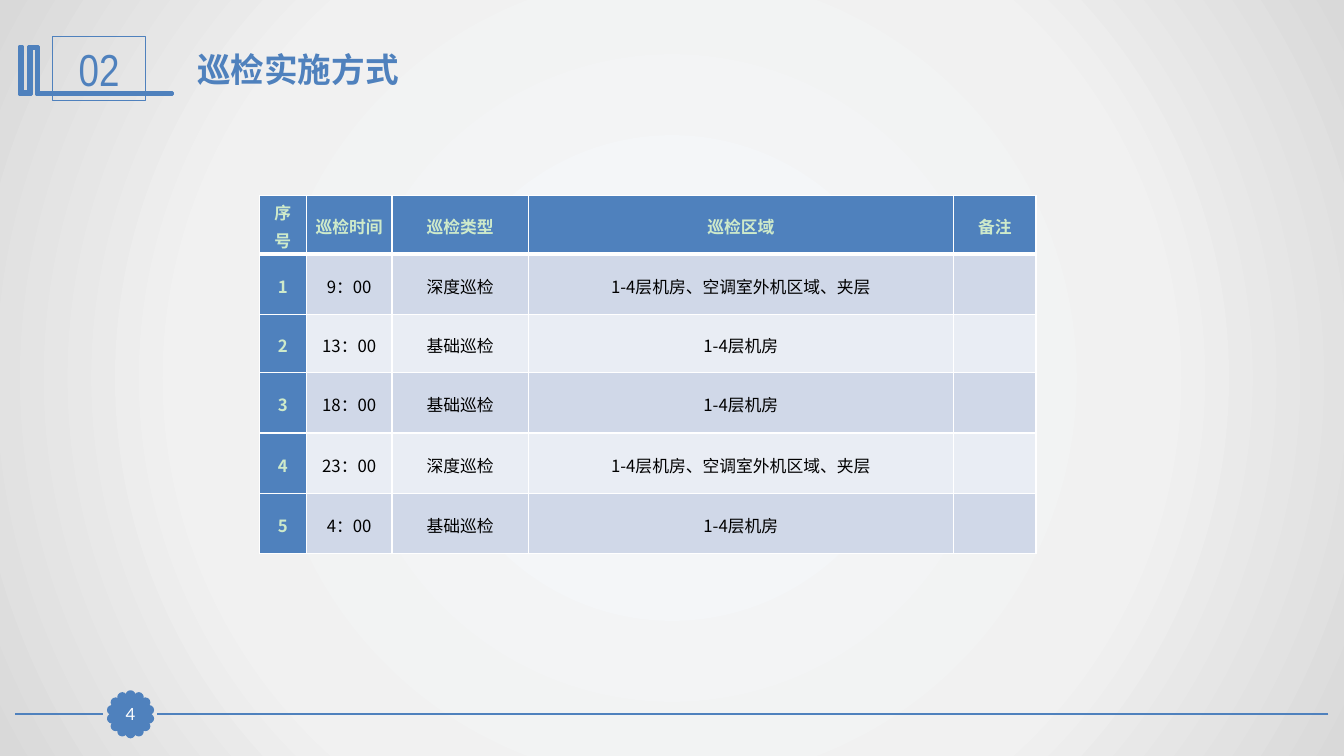
from math import cos, pi, sin

from pptx import Presentation
from pptx import util as u
from pptx.dml.color import RGBColor
from pptx.enum import shapes, text
from pptx.oxml import parse_xml
from pptx.oxml.ns import nsdecls, qn

Cm = u.Cm
BLUE, MINT, WHITE, BLACK = "4F81BD", "CEEACA", "FFFFFF", "000000"
BANDS = ("D0D8E8", "E9EDF4")
CJK = "Noto Sans CJK SC"
BACKGROUND = ((0, "F6F9FC"), (63, "F1F1F1"), (100, "D9D9D9"))
BOOK_OUTLINE = (
    (0.94, 1.17), (0.97, 1.17), (0.97, 2.34), (4.34, 2.34), (4.34, 2.39),
    (0.91, 2.39), (0.91, 1.22), (0.79, 1.22), (0.79, 2.39), (0.48, 2.39),
    (0.48, 1.17), (0.58, 1.17), (0.58, 2.31), (0.71, 2.31), (0.71, 1.17),
)
COLUMN_WIDTHS = (1.19, 2.16, 3.43, 10.72, 2.08)
ROW_HEIGHTS = (1.47, 1.52, 1.47, 1.52, 1.52, 1.52)
HEADINGS = ("序号", "巡检时间", "巡检类型", "巡检区域", "备注")
BASIC = ("基础巡检", "1-4层机房")
DEEP = ("深度巡检", "1-4层机房、空调室外机区域、夹层")
ROUNDS = (("9：00", DEEP), ("13：00", BASIC), ("18：00", BASIC),
          ("23：00", DEEP), ("4：00", BASIC))


def colour(value):
    return RGBColor.from_string(value)


def paint_background(page):
    page.background.fill.gradient()
    gradient = page._element.find(".//" + qn("a:gradFill"))
    stops = "".join(
        f'<a:gs pos="{place * 1000}"><a:srgbClr val="{value}"/></a:gs>'
        for place, value in BACKGROUND
    )
    gradient.getparent().replace(gradient, parse_xml(
        f'<a:gradFill {nsdecls("a")} rotWithShape="1"><a:gsLst>{stops}</a:gsLst>'
        '<a:path path="circle"><a:fillToRect l="50000" t="50000" r="50000" '
        'b="50000"/></a:path></a:gradFill>'
    ))


def style_shape(shape, fill, line_width):
    shape.shadow.inherit = False
    if fill:
        shape.fill.solid()
        shape.fill.fore_color.rgb = colour(fill)
    else:
        shape.fill.background()
    shape.line.color.rgb = colour(BLUE)
    shape.line.width = u.Pt(line_width)


def add_preset(page, kind, left, top, width, height, fill, line_width):
    shape = page.shapes.add_shape(kind, Cm(left), Cm(top), Cm(width), Cm(height))
    style_shape(shape, fill, line_width)
    return shape


def write(frame, words, font, size, ink, bold=False, align=text.PP_ALIGN.CENTER):
    frame.text = words
    para = frame.paragraphs[0]
    para.alignment = align
    for span in para.runs:
        span.font.name = font
        span.font.size = u.Pt(size)
        span.font.bold = bold
        span.font.color.rgb = colour(ink)
        span.font._element.find(qn("a:latin")).addnext(
            parse_xml(f'<a:ea {nsdecls("a")} typeface="{CJK}"/>'))
    return para


def add_footer_line(page, start, end):
    line = page.shapes.add_connector(
        shapes.MSO_CONNECTOR.STRAIGHT, Cm(start), Cm(18), Cm(end), Cm(18))
    line.line.color.rgb = colour(BLUE)
    line.line.width = u.Pt(1.25)
    line._element.spPr.append(parse_xml(f'<a:effectLst {nsdecls("a")}/>'))


def add_page_badge(page, number):
    centre_x, centre_y, radius, dot, petals = 3.29, 18, 0.48, 0.18, 14
    for index in range(petals):
        angle = 2 * pi * index / petals
        add_preset(page, shapes.MSO_SHAPE.OVAL,
                   centre_x + radius * sin(angle) - dot / 2,
                   centre_y - radius * cos(angle) - dot / 2, dot, dot, BLUE, 2)
    box = add_preset(page, shapes.MSO_SHAPE.RECTANGLE,
                     2.88, 17.6, 0.82, 0.8, BLUE, 0.75)
    frame = box.text_frame
    frame.margin_left = frame.margin_right = 0
    frame.margin_top = frame.margin_bottom = 0
    frame.vertical_anchor = text.MSO_ANCHOR.MIDDLE
    write(frame, number, "Lato", 12, WHITE)


def add_heading(page, number, title):
    points = [(Cm(x), Cm(y)) for x, y in BOOK_OUTLINE]
    builder = page.shapes.build_freeform(*points[0])
    builder.add_line_segments(points[1:], close=True)
    style_shape(builder.convert_to_shape(), BLUE, 2)

    box = add_preset(page, shapes.MSO_SHAPE.RECTANGLE,
                     1.32, 0.91, 2.36, 1.63, None, 0.75)
    box.text_frame.vertical_anchor = text.MSO_ANCHOR.MIDDLE
    write(box.text_frame, number, "Arial Narrow", 32, BLUE)

    box = page.shapes.add_textbox(Cm(4.72), Cm(1.12), Cm(24.61), Cm(1.27))
    box.text_frame.word_wrap = True
    write(box.text_frame, title, "Lato", 24, BLUE, True, text.PP_ALIGN.LEFT)


def set_borders(cell, top, bottom):
    sides = (("lnL", 1), ("lnR", 1), ("lnT", top), ("lnB", bottom))
    for index, (side, width) in enumerate(sides):
        cell._tc.get_or_add_tcPr().insert(index, parse_xml(
            f'<a:{side} {nsdecls("a")} w="{u.Pt(width)}"><a:solidFill>'
            f'<a:srgbClr val="{WHITE}"/></a:solidFill></a:{side}>'))


def fill_cell(cell, words, row, column):
    heading = row == 0 or column == 0
    cell.fill.solid()
    cell.fill.fore_color.rgb = colour(BLUE if heading else BANDS[(row - 1) % 2])
    cell.margin_left = cell.margin_right = Cm(0.18)
    cell.margin_top = cell.margin_bottom = 0
    cell.vertical_anchor = text.MSO_ANCHOR.MIDDLE
    para = write(cell.text_frame, words, CJK, 12,
                 MINT if heading else BLACK, heading)
    para.line_spacing = 1.15
    set_borders(cell, 3 if row == 1 else 1, 3 if row == 0 else 1)


def add_schedule(page):
    rows = [HEADINGS]
    rows += [(str(index), time, *visit, "")
             for index, (time, visit) in enumerate(ROUNDS, 1)]
    table = page.shapes.add_table(
        len(rows), len(HEADINGS), Cm(6.53), Cm(4.93),
        Cm(sum(COLUMN_WIDTHS)), Cm(sum(ROW_HEIGHTS))).table
    for column, width in zip(table.columns, COLUMN_WIDTHS):
        column.width = Cm(width)
    for row, height in zip(table.rows, ROW_HEIGHTS):
        row.height = Cm(height)
    for row, values in enumerate(rows):
        for column, words in enumerate(values):
            fill_cell(table.cell(row, column), words, row, column)


def main():
    deck = Presentation()
    deck.slide_width, deck.slide_height = Cm(33.87), Cm(19.05)
    page = deck.slides.add_slide(deck.slide_layouts[6])
    paint_background(page)
    add_footer_line(page, 33.48, 3.96)
    add_footer_line(page, 2.59, 0.38)
    add_page_badge(page, "4")
    add_heading(page, "02", "巡检实施方式")
    add_schedule(page)
    deck.save("out.pptx")


if __name__ == "__main__":
    main()
